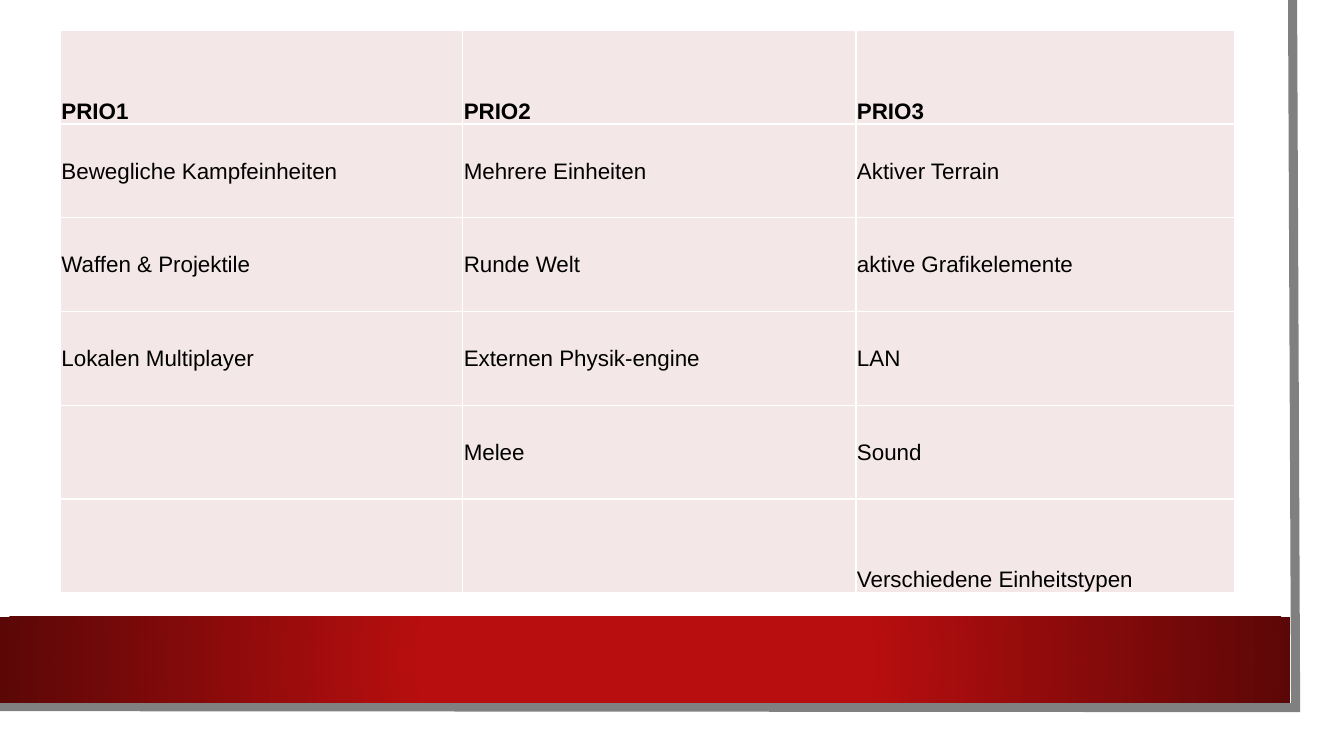
from lxml import etree
from pptx import Presentation
from pptx.dml.color import RGBColor
from pptx.enum.shapes import MSO_SHAPE
from pptx.enum.text import MSO_ANCHOR
from pptx.oxml import parse_xml
from pptx.util import Inches, Pt

RECT = MSO_SHAPE.RECTANGLE
MIDDLE, BOTTOM = MSO_ANCHOR.MIDDLE, MSO_ANCHOR.BOTTOM
NS = "http://schemas.openxmlformats.org/drawingml/2006/main"
GRAD = f"""<a:gradFill xmlns:a="{NS}" rotWithShape="1"><a:gsLst>
<a:gs pos="34000"><a:srgbClr val="B80E0F"/></a:gs>
<a:gs pos="100000"><a:srgbClr val="5C0707"/></a:gs></a:gsLst>
<a:path path="circle"><a:fillToRect l="50000" t="50000" r="50000" b="50000"/></a:path>
</a:gradFill>"""


def paint(fill, color):
    fill.solid()
    fill.fore_color.rgb = RGBColor.from_string(color)


def border(cell, color, width):
    props = cell._tc.get_or_add_tcPr()
    for side in ("lnL", "lnR", "lnT", "lnB"):
        line = etree.SubElement(props, f"{{{NS}}}{side}", w=str(Pt(width)))
        solid = etree.SubElement(line, f"{{{NS}}}solidFill")
        etree.SubElement(solid, f"{{{NS}}}srgbClr", val=color)


prs = Presentation()
prs.slide_width, prs.slide_height = Inches(13.33), Inches(7.5)
slide = prs.slides.add_slide(prs.slide_layouts[6])
shapes = slide.shapes

page = shapes.add_shape(RECT, 0, 0, Inches(13.1), Inches(7.27))
page.shadow.inherit = False
paint(page.fill, "FFFFFF")
page.line.fill.background()

pen = shapes.build_freeform(Inches(12.82), 0)
pen.add_line_segments(
    [(Inches(12.85), Inches(7.02)), (Inches(-0.03), Inches(7.01))], close=False
)
edge = pen.convert_to_shape()
edge.shadow.inherit = False
edge.fill.background()
paint(edge.line.fill, "808080")
edge.line.width = Pt(6.5)
etree.SubElement(edge.line._get_or_add_ln(), f"{{{NS}}}miter", lim="800000")

band = shapes.add_shape(RECT, 0, Inches(6.12), Inches(12.8), Inches(0.85))
band.shadow.inherit = False
band.line.fill.background()
band._element.spPr.find(f"{{{NS}}}prstGeom").addnext(parse_xml(GRAD))

rows = [
    ("PRIO1", "PRIO2", "PRIO3"),
    ("Bewegliche Kampfeinheiten", "Mehrere Einheiten", "Aktiver Terrain"),
    ("Waffen & Projektile", "Runde Welt", "aktive Grafikelemente"),
    ("Lokalen Multiplayer", "Externen Physik-engine", "LAN"),
    ("", "Melee", "Sound"),
    ("", "", "Verschiedene Einheitstypen"),
]
widths = (3.99, 3.9, 3.76)
frame = shapes.add_table(
    len(rows), len(widths), Inches(0.6), Inches(0.3), Inches(sum(widths)), Inches(5.58)
)
table = frame.table
table.first_row = table.horz_banding = False
for col, width in zip(table.columns, widths):
    col.width = Inches(width)

for r, row in enumerate(rows):
    table.rows[r].height = Inches(0.93)
    for c, text in enumerate(row):
        cell = table.cell(r, c)
        cell.text = text
        cell.margin_left = cell.margin_right = cell.margin_top = Inches(0.01)
        cell.margin_bottom = 0
        cell.vertical_anchor = BOTTOM if r in (0, len(rows) - 1) else MIDDLE
        border(cell, "FFFFFF", 1)
        paint(cell.fill, "F3E7E7")
        font = cell.text_frame.paragraphs[0].font
        font.name, font.size, font.bold = "Arial", Pt(16), r == 0
        paint(font.fill, "000000")

prs.save("out.pptx")
